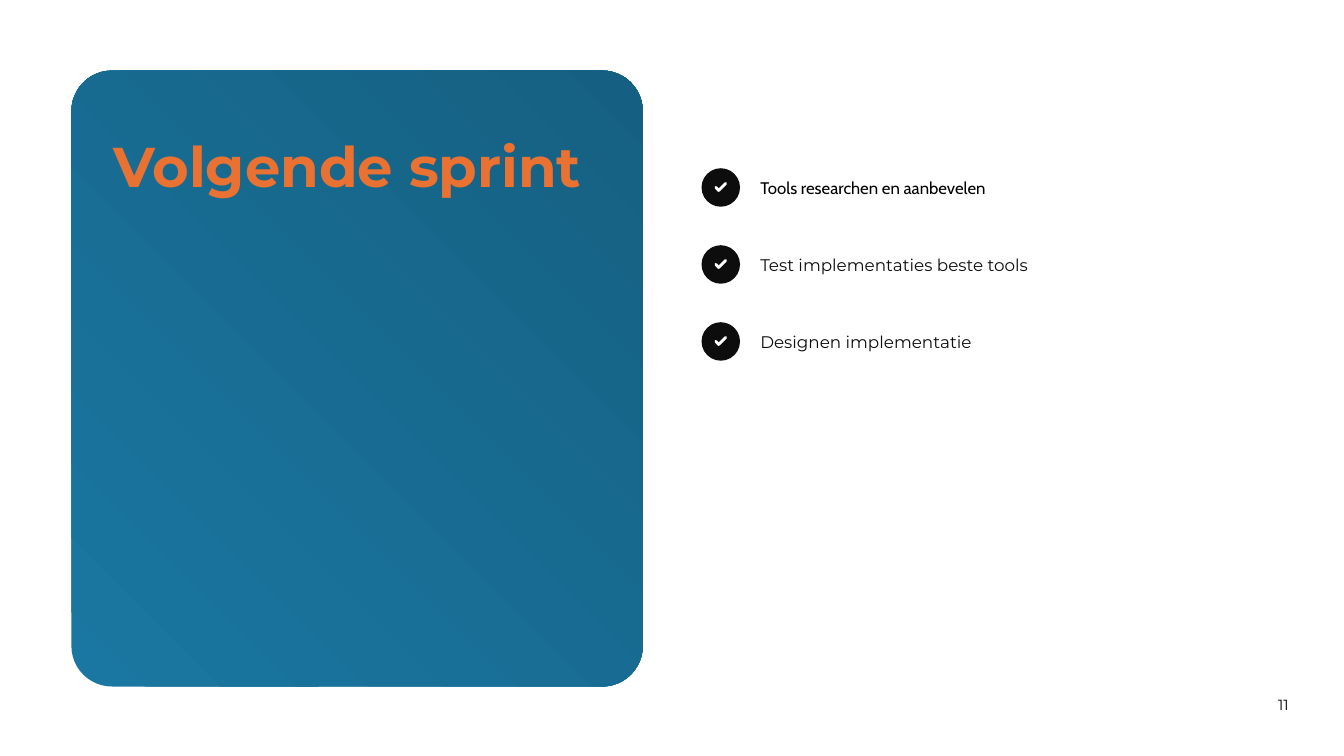
from lxml import etree
from pptx import Presentation
from pptx.dml.color import RGBColor
from pptx.enum.shapes import MSO_SHAPE as Shape
from pptx.enum.text import MSO_ANCHOR as Anchor, MSO_AUTO_SIZE as AutoSize, PP_ALIGN as Align
from pptx.oxml.ns import qn
from pptx.util import Cm, Pt

INK, BLACK, WHITE, ORANGE = "0D0D0D", "000000", "FFFFFF", "E97132"
DARK_BLUE, LIGHT_BLUE = "156082", "1A77A1"
TASKS = [
    ("Tools researchen en aanbevelen", "Cabin", BLACK),
    ("Test implementaties beste tools", "Montserrat", INK),
    ("Designen implementatie", "Montserrat", INK),
]
BADGE = 0.97
ROW_PITCH = 1.94
TICK = [(0.36, 0.48), (0.43, 0.56), (0.61, 0.38)]


def color(value):
    return RGBColor.from_string(value)


def write(box, text, size, font, ink, bold=False, align=Align.LEFT, anchor=Anchor.TOP, inset=0.08):
    frame = box.text_frame
    frame.word_wrap = True
    frame.auto_size = AutoSize.NONE
    frame.vertical_anchor = anchor
    frame.margin_left = frame.margin_right = Cm(inset)
    frame.margin_top = frame.margin_bottom = Cm(inset)
    para = frame.paragraphs[0]
    para.alignment = align
    span = para.add_run()
    span.text = text
    span.font.size = Pt(size)
    span.font.name = font
    span.font.bold = bold
    span.font.color.rgb = color(ink)


def add_title_card(slide, left, top, width, height):
    card = slide.shapes.add_shape(Shape.ROUNDED_RECTANGLE, Cm(left), Cm(top), Cm(width), Cm(height))
    card.adjustments[0] = 0.071
    card.shadow.inherit = False
    card.line.fill.background()
    card.fill.gradient()
    card.fill.gradient_angle = 45
    for stop, shade in zip(card.fill.gradient_stops, (LIGHT_BLUE, DARK_BLUE)):
        stop.color.rgb = color(shade)

    title = slide.shapes.title
    title.left, title.top = Cm(left + 0.99), Cm(top + 1.45)
    title.width, title.height = Cm(12.37), Cm(1.85)
    write(title, "Volgende sprint", 40, "Montserrat", ORANGE, bold=True)
    title.element.addprevious(card.element)  # keeps the card behind its title


def add_check_badge(slide, left, top):
    badge = slide.shapes.add_shape(Shape.OVAL, Cm(left), Cm(top), Cm(BADGE), Cm(BADGE))
    badge.shadow.inherit = False
    badge.fill.solid()
    badge.fill.fore_color.rgb = color(INK)
    badge.line.fill.background()

    start, *rest = [(Cm(left + x), Cm(top + y)) for x, y in TICK]
    outline = slide.shapes.build_freeform(*start)
    outline.add_line_segments(rest, close=False)
    tick = outline.convert_to_shape()
    tick.shadow.inherit = False
    tick.fill.background()
    tick.line.color.rgb = color(WHITE)
    tick.line.width = Pt(2)
    stroke = tick.element.spPr.find(qn("a:ln"))
    stroke.set("cap", "rnd")
    etree.SubElement(stroke, qn("a:round"))


def add_task_list(slide, left, top, width):
    for index, (task, font, ink) in enumerate(TASKS):
        row_top = top + index * ROW_PITCH
        add_check_badge(slide, left, row_top)
        label = slide.shapes.add_textbox(Cm(left + 1.4), Cm(row_top), Cm(width - 1.4), Cm(BADGE))
        write(label, task, 12, font, ink, anchor=Anchor.MIDDLE)


def add_page_number(slide, left, top, width, height):
    box = slide.shapes.add_textbox(Cm(left), Cm(top), Cm(width), Cm(height))
    write(box, "11", 10.5, "Montserrat", BLACK, align=Align.CENTER, inset=0)


def main():
    deck = Presentation()
    deck.slide_width, deck.slide_height = Cm(33.87), Cm(19.05)
    slide = deck.slides.add_slide(deck.slide_layouts[5])
    add_title_card(slide, 1.8, 1.78, 14.4, 15.52)
    add_task_list(slide, 17.68, 4.24, 12.68)
    add_page_number(slide, 31.52, 17.53, 1.65, 0.74)
    deck.save("out.pptx")


if __name__ == "__main__":
    main()
